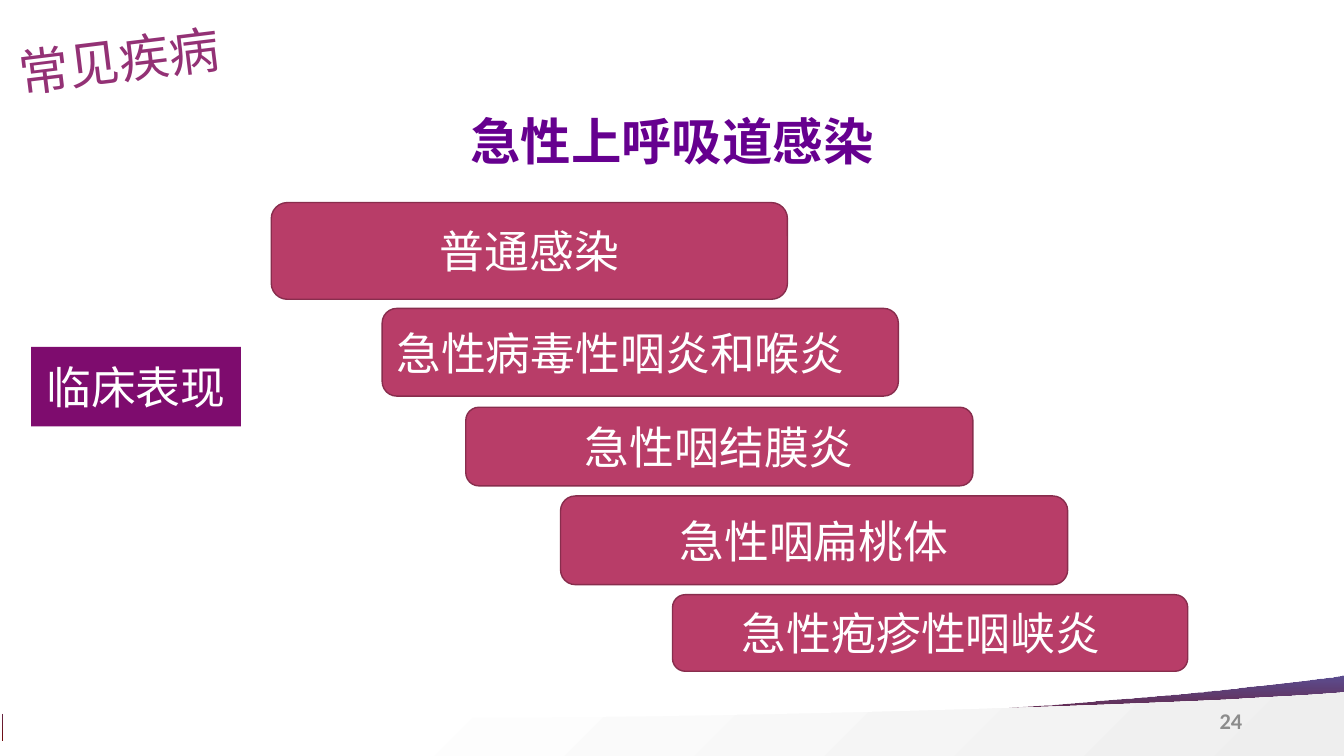
"""Build the slide on the clinical forms of acute upper respiratory infection."""
import pptx
import pptx.dml.color
import pptx.enum.shapes
import pptx.enum.text
import pptx.oxml
import pptx.oxml.ns
import pptx.util
from pptx.util import Inches

ALIGN = pptx.enum.text.PP_ALIGN
ANCHOR = pptx.enum.text.MSO_ANCHOR
SHAPES = pptx.enum.shapes.MSO_SHAPE

COLOURS = {
    "corner": "933175", "title": "66008F", "number": "8C8C8C", "white": "FFFFFF",
    "label": "7E0C6E", "step": "B83D68", "step_line": "882D4D",
    "band_low": "720808", "band_high": "342275", "pale": "EEEEEE",
}
HAN_FONT = "Noto Sans CJK SC"
STEP_FONT = "Noto Sans CJK JP"

TITLE = "急性上呼吸道感染"
CORNER = "常见疾病"
LABEL = "临床表现"
PAGE_NUMBER = "24"
STEPS = [
    ("普通感染", (2.69, 2.01, 5.12, 0.96), ALIGN.CENTER, 0.1),
    ("急性病毒性咽炎和喉炎", (3.79, 3.06, 5.12, 0.87), ALIGN.LEFT, 0.1),
    ("急性咽结膜炎", (4.62, 4.04, 5.03, 0.78), ALIGN.CENTER, 0.1),
    ("急性咽扁桃体", (5.56, 4.92, 5.03, 0.88), ALIGN.CENTER, 0.1),
    ("急性疱疹性咽峡炎", (6.67, 5.9, 5.11, 0.76), ALIGN.LEFT, 0.65),
]

BANDS = [
    {
        "start": (13.33, 6.7),
        "segments": [
            [(13.33, 7.35)], [(0.02, 7.35)], [(0.02, 7.08)],
            [(3.04, 7.41), (8.22, 7.18), (11.22, 6.93)],
            [(11.82, 6.88), (12.5, 6.81), (13.21, 6.72)],
        ],
        "stops": [(0, "band_low"), (1, "band_high")],
        "angle": 90,
        "end_alpha": 80,
    },
    {
        "start": (13.33, 6.87),
        "segments": [
            [(13.33, 7.5)], [(0.03, 7.5)], [(0.03, 7.03)], [(0.47, 7.05)],
            [(3.94, 7.21), (9.13, 7.08), (12.22, 6.94)],
            [(12.49, 6.92), (12.77, 6.91), (13.06, 6.89)],
        ],
        "stops": [(0.26, "white"), (1, "pale")],
        "angle": 315,
        "end_alpha": 100,
    },
]
CURVE_STEPS = 24


def colour(name):
    return pptx.dml.color.RGBColor.from_string(COLOURS[name])


def curve_points(start, first, second, end):
    points = []
    for step in range(1, CURVE_STEPS + 1):
        t = step / CURVE_STEPS
        weights = ((1 - t) ** 3, 3 * t * (1 - t) ** 2, 3 * t * t * (1 - t), t ** 3)
        controls = (start, first, second, end)
        points.append(tuple(
            sum(weight * control[axis] for weight, control in zip(weights, controls))
            for axis in (0, 1)))
    return points


def add_band(slide, band):
    points = [band["start"]]
    for segment in band["segments"]:
        points += segment if len(segment) == 1 else curve_points(points[-1], *segment)
    corners = [(Inches(x), Inches(y)) for x, y in points]
    builder = slide.shapes.build_freeform(*corners[0], scale=1.0)
    builder.add_line_segments(corners[1:], close=True)
    shape = builder.convert_to_shape()
    shape.shadow.inherit = False
    shape.line.fill.background()
    shape.fill.gradient()
    shape.fill.gradient_angle = band["angle"]
    for stop, (position, name) in zip(shape.fill.gradient_stops, band["stops"]):
        stop.position = position
        stop.color.rgb = colour(name)
    if band["end_alpha"] < 100:
        last_colour = shape.element.spPr.findall(".//" + pptx.oxml.ns.qn("a:srgbClr"))[-1]
        alpha = pptx.oxml.parse_xml(
            f'<a:alpha {pptx.oxml.ns.nsdecls("a")} val="{band["end_alpha"] * 1000}"/>')
        last_colour.append(alpha)


def write_text(shape, text, size, font, colour_name, align=ALIGN.LEFT,
               anchor=ANCHOR.MIDDLE, bold=False, left_margin=0.1):
    frame = shape.text_frame
    frame.text = text
    frame.word_wrap = True
    frame.auto_size = pptx.enum.text.MSO_AUTO_SIZE.NONE
    frame.vertical_anchor = anchor
    frame.margin_left, frame.margin_right = Inches(left_margin), Inches(0.1)
    frame.margin_top = frame.margin_bottom = Inches(0.05)
    paragraph = frame.paragraphs[0]
    paragraph.alignment = align
    run = paragraph.runs[0]
    run.font.size = pptx.util.Pt(size)
    run.font.name = font
    run.font.bold = bold
    run.font.color.rgb = colour(colour_name)
    east_asian = font if font.startswith("Noto") else HAN_FONT
    latin = run.font._element.find(pptx.oxml.ns.qn("a:latin"))
    latin.addnext(pptx.oxml.parse_xml(
        f'<a:ea {pptx.oxml.ns.nsdecls("a")} typeface="{east_asian}"/>'))
    return paragraph


def add_box(slide, preset, place, fill_name, line_name=None):
    shape = slide.shapes.add_shape(preset, *map(Inches, place))
    shape.shadow.inherit = False
    shape.fill.solid()
    shape.fill.fore_color.rgb = colour(fill_name)
    if line_name:
        shape.line.color.rgb = colour(line_name)
        shape.line.width = pptx.util.Pt(1)
    else:
        shape.line.fill.background()
    return shape


def main():
    presentation = pptx.Presentation()
    presentation.slide_width = Inches(13.33)
    presentation.slide_height = Inches(7.5)
    slide = presentation.slides.add_slide(presentation.slide_layouts[5])

    for band in BANDS:
        add_band(slide, band)

    title = slide.shapes.title
    title.left, title.top, title.width, title.height = map(Inches, (4.39, 0.92, 4.55, 0.77))
    paragraph = write_text(title, TITLE, 36, "Arial", "title", ALIGN.CENTER,
                           ANCHOR.TOP, bold=True)
    paragraph.line_spacing = 1.2

    corner = slide.shapes.add_textbox(*map(Inches, (0.08, 0.22, 2.55, 0.71)))
    corner.rotation = 352.9
    write_text(corner, CORNER, 36, HAN_FONT, "corner", anchor=ANCHOR.TOP)

    number = slide.shapes.add_textbox(*map(Inches, (9.42, 6.95, 3, 0.4)))
    write_text(number, PAGE_NUMBER, 16, "Calibri", "number", ALIGN.RIGHT, bold=True)

    label = add_box(slide, SHAPES.RECTANGLE, (0.31, 3.44, 2.08, 0.79), "label")
    write_text(label, LABEL, 32, "Calibri", "white", ALIGN.CENTER)

    for text, place, align, left_margin in STEPS:
        step = add_box(slide, SHAPES.FLOWCHART_ALTERNATE_PROCESS, place, "step", "step_line")
        write_text(step, text, 32, STEP_FONT, "white", align, left_margin=left_margin)

    presentation.save("out.pptx")


if __name__ == "__main__":
    main()
